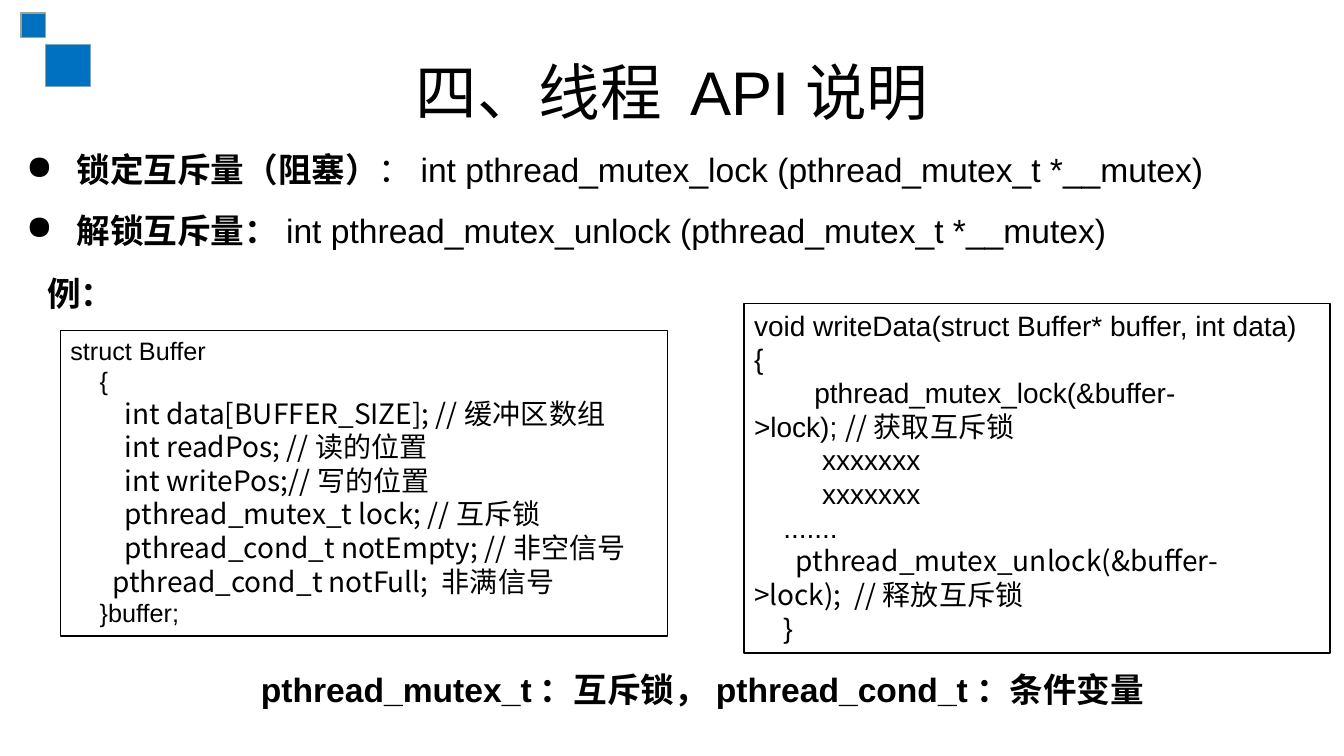
import pptx
import pptx.util
import pptx.dml.color
import pptx.enum.shapes
import pptx.enum.text
import pptx.oxml.ns
import lxml.etree

COLORS = {"ink": "000000", "block": "0070C0", "edge": "8AA6A8"}
LATIN, HAN = "Arial", "Noto Sans CJK SC"
INDENT = 0.29
WIDTH, HEIGHT = 13.33, 7.5

STRUCT_LINES = [
    (0, 18, [("struct Buffer", LATIN)]),
    (INDENT, 18, [("{", LATIN)]),
    (INDENT, 20, [("    int data[BUFFER_SIZE]; //缓冲区数组", HAN)]),
    (INDENT, 20, [("    int readPos; //读的位置", HAN)]),
    (INDENT, 20, [("    int writePos;//写的位置", HAN)]),
    (INDENT, 20, [("    pthread_mutex_t lock; //互斥锁", HAN)]),
    (INDENT, 20, [("    pthread_cond_t notEmpty; //非空信号", HAN)]),
    (INDENT, 20, [("  pthread_cond_t notFull; 非满信号", HAN)]),
    (INDENT, 18, [("}buffer;", LATIN)]),
]
WRITE_LINES = [
    (0, 20, [("void writeData(struct Buffer* buffer, int data)", LATIN)]),
    (0, 20, [("{", LATIN)]),
    (INDENT, 20, [("    pthread_mutex_lock(&buffer->lock); ", LATIN), ("//", HAN), ("获取互斥锁", LATIN)]),
    (INDENT, 20, [("     xxxxxxx", LATIN)]),
    (INDENT, 20, [("     xxxxxxx", LATIN)]),
    (INDENT, 20, [(".......", LATIN)]),
    (INDENT, 20, [("  pthread_mutex_unlock(&buffer->lock);  //", HAN), ("释放互斥锁", LATIN)]),
    (INDENT, 20, [("}", LATIN)]),
]
CALLS = [
    ("锁定互斥量（阻塞）", "：int pthread_mutex_lock (pthread_mutex_t *__mutex)"),
    ("解锁互斥量：", "int pthread_mutex_unlock (pthread_mutex_t *__mutex)"),
]


def color(name):
    return pptx.dml.color.RGBColor.from_string(COLORS[name])


def apply(target, values):
    for name, value in values.items():
        setattr(target, name, value)


def add_span(para, text, size, font=LATIN, bold=False):
    span = para.add_run()
    span.text = text
    apply(span.font, {"size": pptx.util.Pt(size), "name": font, "bold": bold})
    span.font.color.rgb = color("ink")
    east = lxml.etree.SubElement(span.font._element, pptx.oxml.ns.qn("a:ea"))
    east.set("typeface", HAN)


def set_indent(para, left, first):
    props = para._p.get_or_add_pPr()
    props.set("marL", str(pptx.util.Inches(left)))
    props.set("indent", str(pptx.util.Inches(first)))
    return props


def next_para(frame, index):
    return frame.add_paragraph() if index else frame.paragraphs[0]


def add_text_box(page, area):
    box = page.shapes.add_textbox(*map(pptx.util.Inches, area))
    box.text_frame.word_wrap = True
    return box.text_frame


def add_rectangle(page, area, line):
    box = page.shapes.add_shape(
        pptx.enum.shapes.MSO_SHAPE.RECTANGLE, *map(pptx.util.Inches, area))
    box.shadow.inherit = False
    box.line.color.rgb = color(line)
    box.line.width = pptx.util.Pt(1)
    return box


def add_corner(page, left, top):
    for x, y, width, height in [(0, 0, 0.24, 0.24), (0.24, 0.31, 0.45, 0.42)]:
        box = add_rectangle(page, (left + x, top + y, width, height), "edge")
        box.fill.solid()
        box.fill.fore_color.rgb = color("block")


def add_title(page, area, text):
    frame = add_text_box(page, area)
    frame.vertical_anchor = pptx.enum.text.MSO_ANCHOR.MIDDLE
    frame.paragraphs[0].alignment = pptx.enum.text.PP_ALIGN.CENTER
    add_span(frame.paragraphs[0], text, 44)


def add_calls(page, area, calls):
    frame = add_text_box(page, area)
    for index, (label, signature) in enumerate(calls):
        para = next_para(frame, index)
        para.line_spacing = 1.5
        props = set_indent(para, 0.5, -0.5)
        bullet = lxml.etree.SubElement(props, pptx.oxml.ns.qn("a:buChar"))
        bullet.set("char", "●")
        add_span(para, label, 24, bold=True)
        add_span(para, signature, 24)


def add_label(page, area, text):
    add_span(add_text_box(page, area).paragraphs[0], text, 24, bold=True)


def add_code(page, area, lines):
    box = add_rectangle(page, area, "ink")
    box.fill.background()
    frame = box.text_frame
    apply(frame, {"word_wrap": True, "vertical_anchor": pptx.enum.text.MSO_ANCHOR.TOP})
    for index, (indent, size, spans) in enumerate(lines):
        para = next_para(frame, index)
        apply(para, {"alignment": pptx.enum.text.PP_ALIGN.LEFT,
                     "line_spacing": pptx.util.Pt(size * 1.2)})
        set_indent(para, 0, indent)
        for text, font in spans:
            add_span(para, text, size, font)


def main():
    deck = pptx.Presentation()
    apply(deck, {"slide_width": pptx.util.Inches(WIDTH), "slide_height": pptx.util.Inches(HEIGHT)})
    page = deck.slides.add_slide(deck.slide_layouts[6])
    add_title(page, (0.05 * WIDTH, 0.28, 0.9 * WIDTH, 1.25), "四、线程 API说明")
    add_corner(page, 0.21, 0.13)
    add_calls(page, (0.16, 1.23, 12.26, 1.31), CALLS)
    add_code(page, (7.38, 3.01, 5.81, 3.47), WRITE_LINES)
    add_label(page, (2.49, 6.59, 10.03, 0.5), "pthread_mutex_t：互斥锁，pthread_cond_t：条件变量")
    add_code(page, (0.6, 3.28, 6.02, 3.03), STRUCT_LINES)
    add_label(page, (0.37, 2.66, 1.01, 0.5), "例：")
    deck.save("out.pptx")


if __name__ == "__main__":
    main()
